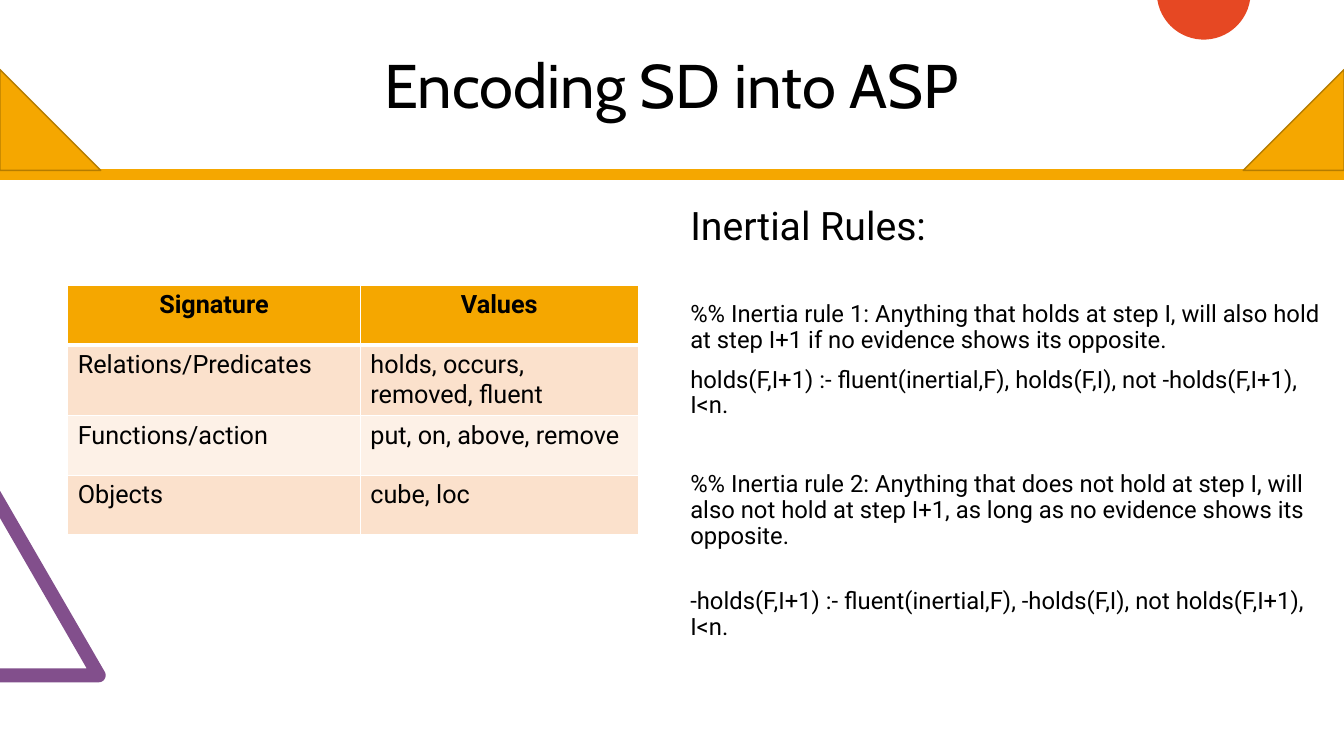
from dataclasses import dataclass
from math import cos, radians, sin

from lxml.etree import SubElement
from pptx import Presentation
from pptx.dml.color import RGBColor as RGB
from pptx.enum.shapes import MSO_CONNECTOR as CONN, MSO_SHAPE as SHAPE
from pptx.enum.text import MSO_ANCHOR as ANCHOR, PP_ALIGN as ALIGN
from pptx.oxml.ns import qn
from pptx.util import Pt

COLORS = {
    "black": "000000", "white": "FFFFFF", "amber": "F5A700", "amber_edge": "B57C00",
    "peach": "FBE1CC", "cream": "FDF1E7", "red": "E64823", "purple": "824F8C",
}
WIDTH, HEIGHT = 960, 540
TRIANGLE = 72
Points = list[tuple[float, float]]


@dataclass
class Para:
    text: str
    size: float = 17
    before: float = 10
    font: str = "Roboto"
    align: ALIGN = ALIGN.LEFT
    bold: bool = False
    spacing: float = 0.9


@dataclass
class Box:
    left: float
    top: float
    width: float
    height: float
    anchor: ANCHOR
    paras: list[Para]


@dataclass
class Outline:
    points: Points
    color: str


@dataclass
class Corner:
    left: float
    rotation: float


def arc(cx: float, cy: float, radius: float, start: int, end: int, step: int) -> Points:
    return [(cx + radius * cos(radians(a)), cy + radius * sin(radians(a)))
            for a in range(start, end + 1, step)]


TITLE = "Encoding SD into ASP"
BOXES = [
    Box(66, 10.8, 828, 104.4, ANCHOR.MIDDLE,
        [Para(TITLE, 44, 0, "Cabin", ALIGN.CENTER)]),
    Box(486, 144, 474, 342.7, ANCHOR.TOP, [
        Para("Inertial Rules:", 28),
        Para("%% Inertia rule 1: Anything that holds at step I, will also hold "
             "at step I+1 if no evidence shows its opposite.", before=38),
        Para("holds(F,I+1) :- fluent(inertial,F), holds(F,I), not -holds(F,I+1),\vI<n."),
        Para("%% Inertia rule 2: Anything that does not hold at step I, will also "
             "not hold at step I+1, as long as no evidence shows its opposite.", before=38),
        Para("-holds(F,I+1) :- fluent(inertial,F), -holds(F,I), not holds(F,I+1),\vI<n.",
             before=28.5),
    ]),
]
OUTLINES = [
    Outline([(0, 487.4), (0, 477.4), (61.9, 477.4), (0, 370.1), (0, 350.6)]
            + arc(70.5, 482.4, 5, -30, 90, 10), "purple"),
    Outline(arc(859.8, -5.2, 33.5, 9, 171, 6), "red"),
]
CORNERS = [Corner(0, 0), Corner(WIDTH - TRIANGLE, 270)]
ROWS = [
    ("Signature", "Values"),
    ("Relations/Predicates", "holds, occurs, removed, fluent"),
    ("Functions/action", "put, on, above, remove"),
    ("Objects", "cube, loc"),
]
COLUMNS = [209, 198.5]
ROW_HEIGHT = 42.5


def rgb(name: str) -> RGB:
    return RGB.from_string(COLORS[name])


def paint(target, name: str) -> None:
    target.fill.solid()
    target.fill.fore_color.rgb = rgb(name)


def write(tf, paras: list[Para]) -> None:
    for i, para in enumerate(paras):
        p = tf.add_paragraph() if i else tf.paragraphs[0]
        p.text = para.text
        p.alignment = para.align
        p.line_spacing = para.spacing
        p.space_before = Pt(para.before)
        p.font.name = para.font
        p.font.size = Pt(para.size)
        p.font.bold = para.bold
        p.font.color.rgb = rgb("black")


def add_box(slide, box: Box) -> None:
    sp = slide.shapes.add_textbox(Pt(box.left), Pt(box.top), Pt(box.width), Pt(box.height))
    tf = sp.text_frame
    tf.word_wrap = True
    tf.vertical_anchor = box.anchor
    write(tf, box.paras)


def add_outline(slide, outline: Outline) -> None:
    first, *rest = [(Pt(x), Pt(y)) for x, y in outline.points]
    builder = slide.shapes.build_freeform(*first)
    builder.add_line_segments(rest, close=True)
    sp = builder.convert_to_shape()
    sp.shadow.inherit = False
    paint(sp, outline.color)
    sp.line.fill.background()


def add_corner(slide, corner: Corner) -> None:
    sp = slide.shapes.add_shape(SHAPE.RIGHT_TRIANGLE, Pt(corner.left), Pt(49.7),
                                Pt(TRIANGLE), Pt(TRIANGLE))
    sp.rotation = corner.rotation
    sp.shadow.inherit = False
    paint(sp, "amber")
    sp.line.color.rgb = rgb("amber_edge")
    sp.line.width = Pt(1)


def add_divider(slide) -> None:
    y = Pt(124.6)
    line = slide.shapes.add_connector(CONN.STRAIGHT, 0, y, Pt(WIDTH), y)
    line.line.color.rgb = rgb("amber")
    line.line.width = Pt(8)
    SubElement(line._element.spPr, qn("a:effectLst"))


def add_borders(cell, row: int) -> None:
    props = cell._tc.get_or_add_tcPr()
    thick = {0: "a:lnB", 1: "a:lnT"}.get(row)
    for i, tag in enumerate(("a:lnL", "a:lnR", "a:lnT", "a:lnB")):
        ln = props.makeelement(qn(tag), {"w": str(Pt(3 if tag == thick else 1))})
        fill = SubElement(ln, qn("a:solidFill"))
        SubElement(fill, qn("a:srgbClr"), val=COLORS["white"])
        props.insert(i, ln)


def add_signature_table(slide) -> None:
    frame = slide.shapes.add_table(len(ROWS), len(COLUMNS), Pt(48.4), Pt(204),
                                   Pt(sum(COLUMNS)), Pt(ROW_HEIGHT * len(ROWS)))
    table = frame.table
    for column, width in zip(table.columns, COLUMNS):
        column.width = Pt(width)
    for r, texts in enumerate(ROWS):
        table.rows[r].height = Pt(ROW_HEIGHT)
        header = r == 0
        color = "amber" if header else ("peach" if r % 2 else "cream")
        for c, text in enumerate(texts):
            cell = table.cell(r, c)
            paint(cell, color)
            add_borders(cell, r)
            align = ALIGN.CENTER if header else ALIGN.LEFT
            write(cell.text_frame, [Para(text, 18, 0, align=align, bold=header, spacing=1.0)])


def main() -> None:
    prs = Presentation()
    prs.slide_width, prs.slide_height = Pt(WIDTH), Pt(HEIGHT)
    slide = prs.slides.add_slide(prs.slide_layouts[6])
    for outline in OUTLINES:
        add_outline(slide, outline)
    for box in BOXES:
        add_box(slide, box)
    add_signature_table(slide)
    add_divider(slide)
    for corner in CORNERS:
        add_corner(slide, corner)
    prs.save("out.pptx")


if __name__ == "__main__":
    main()
